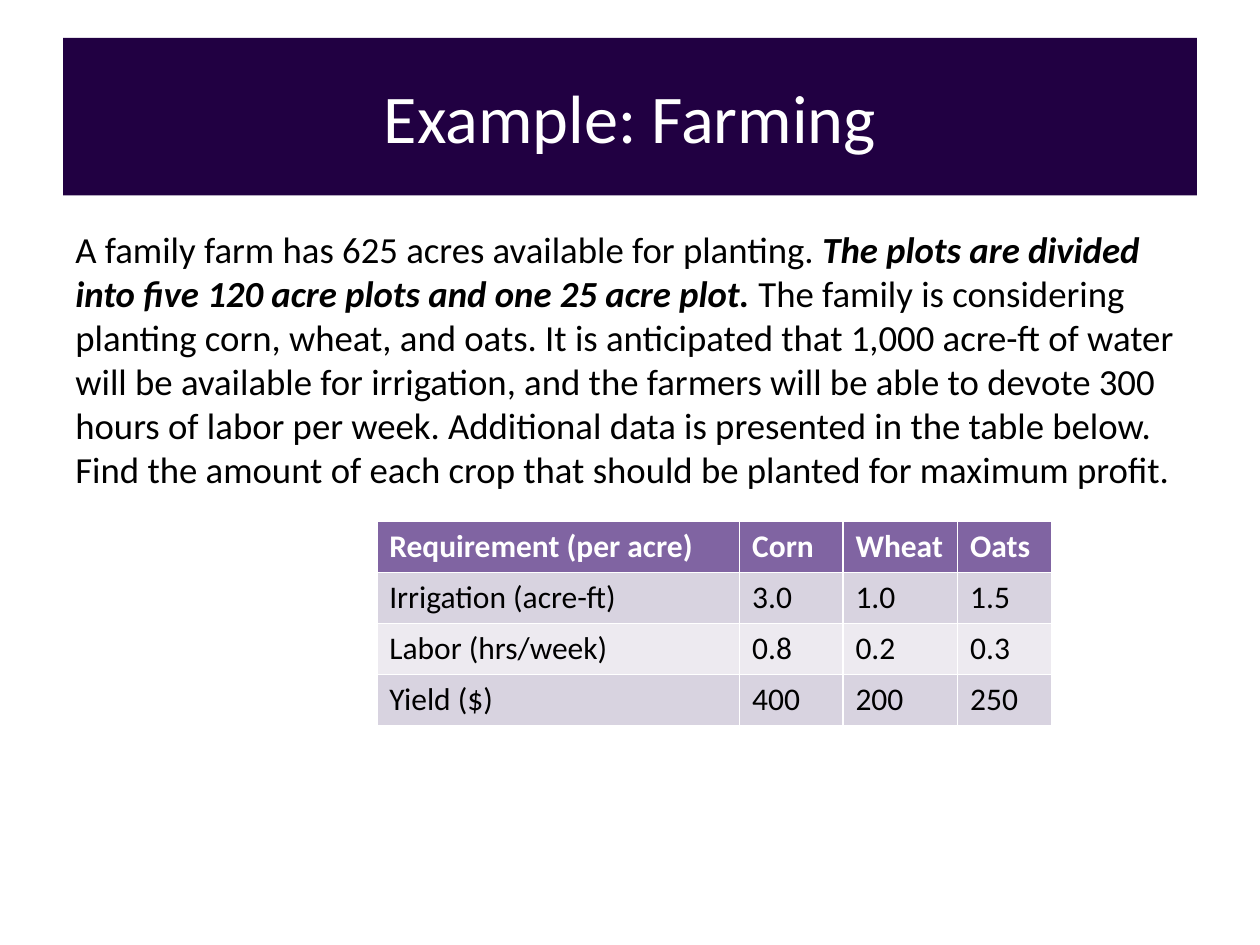
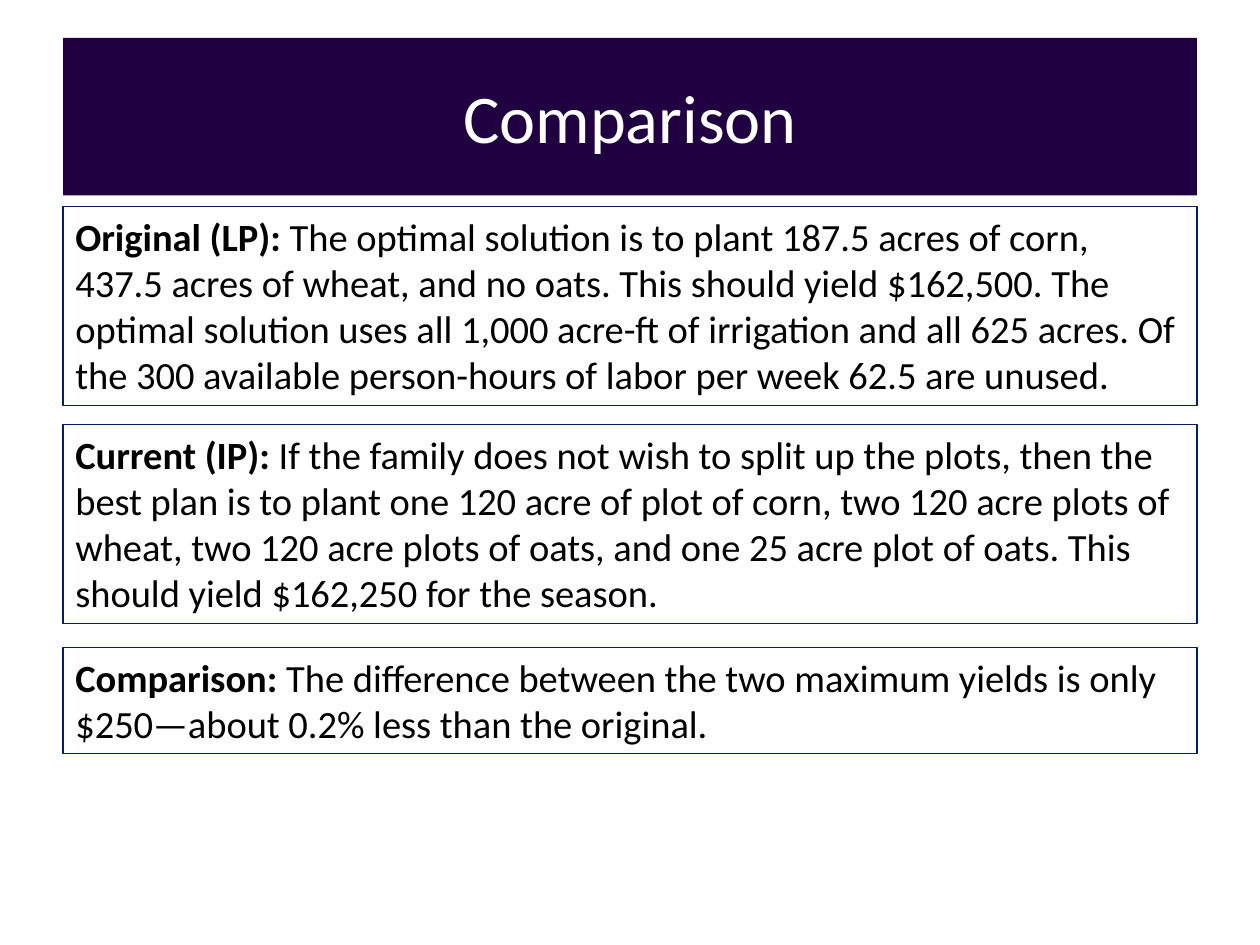
from pptx import Presentation
from pptx.dml.color import RGBColor
from pptx.enum import shapes, text
from pptx.util import Inches, Pt

FONT = "Calibri"
BLACK = RGBColor(0x00, 0x00, 0x00)
WHITE = RGBColor(0xFF, 0xFF, 0xFF)
BAND = RGBColor(0x21, 0x00, 0x42)
OUTLINE = RGBColor(0x00, 0x20, 0x60)
HEADER = RGBColor(0x80, 0x64, 0xA2)
ROW_FILLS = [RGBColor(0xD8, 0xD3, 0xE0), RGBColor(0xED, 0xEA, 0xF0)]

LEFT, WIDTH = 0.5, 9

FARM_PROBLEM = [
    ("A family farm has 625 acres available for planting. ", False),
    ("The plots are divided into five 120 acre plots and one 25 acre plot.", True),
    (" The family is considering planting corn, wheat, and oats. It is anticipated "
     "that 1,000 acre-ft of water will be available for irrigation, and the farmers "
     "will be able to devote 300 hours of labor per week. Additional data is presented "
     "in the table below. Find the amount of each crop that should be planted for "
     "maximum profit.", False),
]

CROP_ROWS = [
    ("Requirement (per acre)", "Corn", "Wheat", "Oats"),
    ("Irrigation (acre-ft)", "3.0", "1.0", "1.5"),
    ("Labor (hrs/week)", "0.8", "0.2", "0.3"),
    ("Yield ($)", "400", "200", "250"),
]
CROP_COLUMN_WIDTHS = [2.88, 0.82, 0.91, 0.75]

SOLUTIONS = [
    (1.64, 1.58, "Original (LP):",
     " The optimal solution is to plant 187.5 acres of corn, 437.5 acres of wheat, and "
     "no oats. This should yield $162,500. The optimal solution uses all 1,000 acre-ft "
     "of irrigation and all 625 acres. Of the 300 available person-hours of labor per "
     "week 62.5 are unused."),
    (3.37, 1.58, "Current (IP):",
     " If the family does not wish to split up the plots, then the best plan is to plant "
     "one 120 acre of plot of corn, two 120 acre plots of wheat, two 120 acre plots of "
     "oats, and one 25 acre plot of oats. This should yield $162,250 for the season."),
    (5.14, 0.84, "Comparison:",
     " The difference between the two maximum yields is only $250—about 0.2% less than "
     "the original."),
]


def style_font(font, size, color=BLACK, bold=False, italic=False):
    font.name = FONT
    font.size = Pt(size)
    font.color.rgb = color
    font.bold = bold
    font.italic = italic


def add_run(paragraph, content, size, bold=False, italic=False):
    run = paragraph.add_run()
    run.text = content
    style_font(run.font, size, bold=bold, italic=italic)


def add_titled_slide(presentation, heading):
    slide = presentation.slides.add_slide(presentation.slide_layouts[5])
    title = slide.shapes.title
    title.left, title.top = Inches(LEFT), Inches(0.3)
    title.width, title.height = Inches(WIDTH), Inches(1.25)
    title.fill.solid()
    title.fill.fore_color.rgb = BAND
    frame = title.text_frame
    frame.text = heading
    frame.auto_size = text.MSO_AUTO_SIZE.NONE
    frame.vertical_anchor = text.MSO_ANCHOR.MIDDLE
    paragraph = frame.paragraphs[0]
    paragraph.alignment = text.PP_ALIGN.CENTER
    style_font(paragraph.runs[0].font, 39, WHITE)
    return slide


def add_problem(slide):
    box = slide.shapes.add_textbox(Inches(LEFT), Inches(1.75), Inches(WIDTH), Inches(4.77))
    box.text_frame.word_wrap = True
    for content, stressed in FARM_PROBLEM:
        add_run(box.text_frame.paragraphs[0], content, 21, stressed, stressed)


def add_crop_table(slide):
    table = slide.shapes.add_table(
        len(CROP_ROWS), len(CROP_COLUMN_WIDTHS), Inches(2.99), Inches(4.14),
        Inches(sum(CROP_COLUMN_WIDTHS)), Inches(1.62)).table
    for column, width in zip(table.columns, CROP_COLUMN_WIDTHS):
        column.width = Inches(width)
    for row_index, values in enumerate(CROP_ROWS):
        is_header = row_index == 0
        for column_index, value in enumerate(values):
            cell = table.cell(row_index, column_index)
            cell.text_frame.text = value
            cell.fill.solid()
            cell.fill.fore_color.rgb = HEADER if is_header else ROW_FILLS[(row_index - 1) % 2]
            style_font(cell.text_frame.paragraphs[0].runs[0].font, 18,
                       WHITE if is_header else BLACK, bold=is_header)


def add_solution(slide, top, height, label, content):
    box = slide.shapes.add_shape(shapes.MSO_SHAPE.RECTANGLE, Inches(LEFT), Inches(top),
                                 Inches(WIDTH), Inches(height))
    box.shadow.inherit = False
    box.fill.background()
    box.line.color.rgb = OUTLINE
    box.line.width = Pt(0.75)
    frame = box.text_frame
    frame.word_wrap = True
    frame.auto_size = text.MSO_AUTO_SIZE.SHAPE_TO_FIT_TEXT
    frame.vertical_anchor = text.MSO_ANCHOR.TOP
    paragraph = frame.paragraphs[0]
    paragraph.alignment = text.PP_ALIGN.LEFT
    add_run(paragraph, label, 22, bold=True)
    add_run(paragraph, content, 22)


def main():
    presentation = Presentation()
    presentation.slide_width, presentation.slide_height = Inches(10), Inches(7.5)

    farming = add_titled_slide(presentation, "Example: Farming")
    add_problem(farming)
    add_crop_table(farming)

    comparison = add_titled_slide(presentation, "Comparison")
    for solution in SOLUTIONS:
        add_solution(comparison, *solution)

    presentation.save("out.pptx")


if __name__ == "__main__":
    main()
